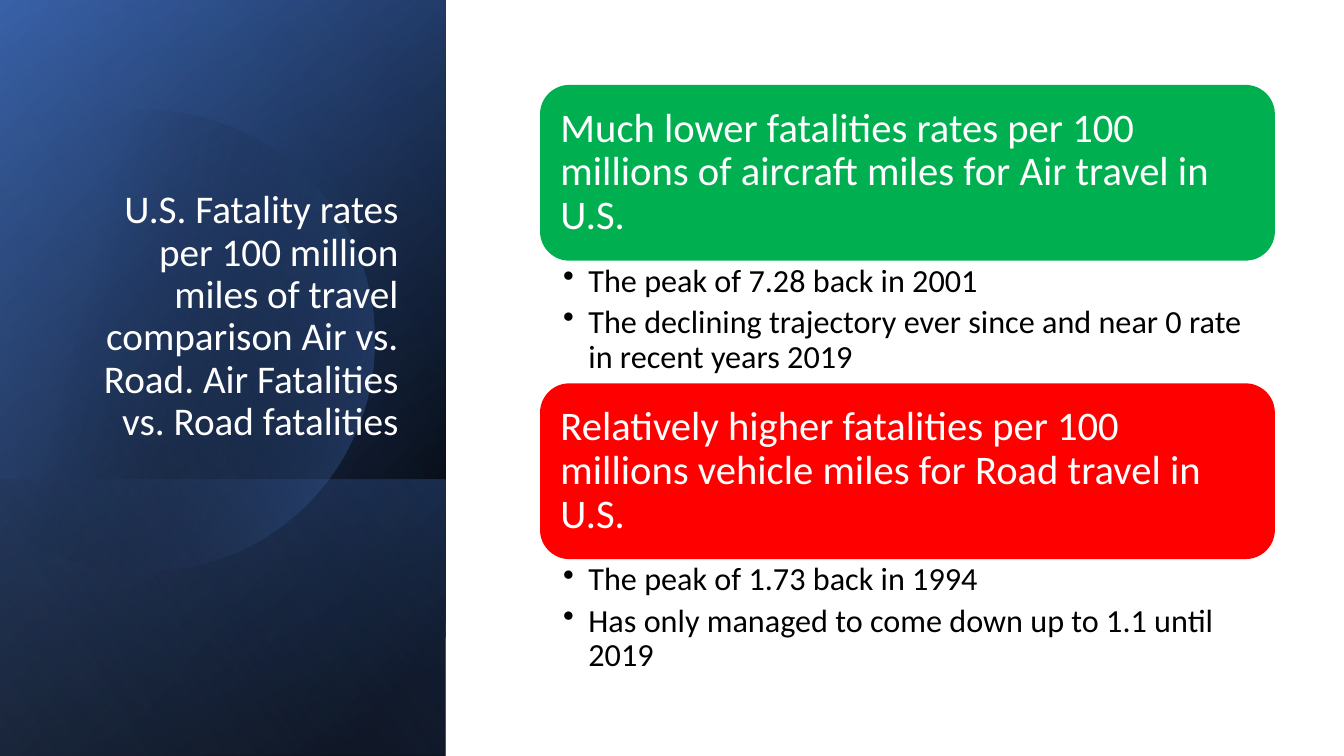
from math import acos, cos, sin

from pptx import Presentation
from pptx.dml.color import RGBColor
from pptx.enum.shapes import MSO_SHAPE
from pptx.enum.text import MSO_ANCHOR, MSO_AUTO_SIZE, PP_ALIGN
from pptx.oxml import parse_xml
from pptx.oxml.ns import nsdecls, qn
from pptx.util import Cm, Pt

RECTANGLE = MSO_SHAPE.RECTANGLE
ROUNDED = MSO_SHAPE.ROUNDED_RECTANGLE
MIDDLE, TOP, BOTTOM = MSO_ANCHOR.MIDDLE, MSO_ANCHOR.TOP, MSO_ANCHOR.BOTTOM
LEFT, RIGHT = PP_ALIGN.LEFT, PP_ALIGN.RIGHT
NO_AUTOFIT = MSO_AUTO_SIZE.NONE

BLACK = RGBColor(0x00, 0x00, 0x00)
WHITE = RGBColor(0xFF, 0xFF, 0xFF)
BLUE = RGBColor(0x44, 0x72, 0xC4)
DARK_BLUE = RGBColor(0x2F, 0x55, 0x97)
LIGHT_BLUE = RGBColor(0x8F, 0xAA, 0xDC)
GREEN = RGBColor(0x00, 0xB0, 0x50)
RED = RGBColor(0xFF, 0x00, 0x00)

FONT = "Calibri"
SLIDE_WIDTH, SLIDE_HEIGHT = 33.87, 19.05
PANEL_WIDTH = 11.23
BAND_HEIGHT = 6.96
CARD_LEFT, CARD_WIDTH = 13.61, 18.52
CARD_HEIGHT, CARD_PITCH = 4.43, 7.52
FIRST_CARD_TOP = 2.14
BULLETS_HEIGHT = 3.07

TITLE = ("U.S. Fatality rates per 100 million miles of travel comparison "
         "Air vs. Road. Air Fatalities vs. Road fatalities")
CARDS = [
    (GREEN,
     "Much lower fatalities rates per 100 millions of aircraft miles for Air travel in U.S.",
     ["The peak of 7.28 back in 2001",
      "The declining trajectory ever since and near 0 rate in recent years 2019"]),
    (RED,
     "Relatively higher fatalities per 100 millions vehicle miles for Road travel in U.S.",
     ["The peak of 1.73 back in 1994",
      "Has only managed to come down up to 1.1 until 2019"]),
]


def make_plain(shape):
    """Remove the outline and shadow of a shape."""
    shape.line.fill.background()
    shape.shadow.inherit = False


def fill_gradient(shape, angle, stops):
    """Fill a shape with stops of position, colour and opacity in percent."""
    make_plain(shape)
    shape.fill.background()
    stop_xml = "".join(
        f'<a:gs pos="{position * 1000}"><a:srgbClr val="{color}">'
        f'<a:alpha val="{opacity * 1000}"/></a:srgbClr></a:gs>'
        for position, color, opacity in stops)
    gradient = parse_xml(
        f'<a:gradFill {nsdecls("a")} rotWithShape="1"><a:gsLst>{stop_xml}</a:gsLst>'
        f'<a:lin ang="{angle * 60000}" scaled="0"/></a:gradFill>')
    properties = shape.element.spPr
    properties.replace(properties.find(qn("a:noFill")), gradient)


def add_panel(page, height, angle, stops):
    """Add a quarter-turned, mirrored gradient panel at the bottom left."""
    left = (PANEL_WIDTH - height) / 2
    top = SLIDE_HEIGHT - (height + PANEL_WIDTH) / 2
    panel = page.shapes.add_shape(
        RECTANGLE, Cm(left), Cm(top), Cm(height), Cm(PANEL_WIDTH))
    panel.rotation = 90
    panel.element.spPr.xfrm.set("flipH", "1")
    fill_gradient(panel, angle, stops)


def add_disc(page):
    """Add the translucent disc that is cut off along its left side."""
    center_x, center_y, radius, cut_x = 3.61, 8.59, 5.82, -0.38
    limit = acos((cut_x - center_x) / radius)
    steps = 120
    angles = [limit * (2 * step / steps - 1) for step in range(steps + 1)]
    points = [(Cm(center_x + radius * cos(angle)), Cm(center_y + radius * sin(angle)))
              for angle in angles]
    builder = page.shapes.build_freeform(*points[0])
    builder.add_line_segments(points[1:], close=True)
    fill_gradient(builder.convert_to_shape(), 14, [(29, BLACK, 0), (100, BLUE, 43)])


def write_text(shape, lines, size, color, anchor, align=LEFT, insets=(0.25, 0.13)):
    """Write formatted paragraphs into a shape and return them."""
    frame = shape.text_frame
    frame.text = "\n".join(lines)
    frame.word_wrap = True
    frame.auto_size = NO_AUTOFIT
    frame.vertical_anchor = anchor
    frame.margin_left = frame.margin_right = Cm(insets[0])
    frame.margin_top = frame.margin_bottom = Cm(insets[1])
    for para in frame.paragraphs:
        para.alignment = align
        para.line_spacing = 0.9
        for span in para.runs:
            span.font.name = FONT
            span.font.size = Pt(size)
            span.font.color.rgb = color
    return frame.paragraphs


def add_bullet(para):
    """Give a paragraph a hanging bullet."""
    para.space_after = Pt(4.6)
    properties = para._p.get_or_add_pPr()
    properties.set("marL", str(Cm(0.64)))
    properties.set("indent", str(-Cm(0.64)))
    properties.append(parse_xml(f'<a:buChar {nsdecls("a")} char="•"/>'))


def add_card(page, top, color, heading, bullets):
    """Add a coloured heading card with its bullets below."""
    card = page.shapes.add_shape(
        ROUNDED, Cm(CARD_LEFT), Cm(top), Cm(CARD_WIDTH), Cm(CARD_HEIGHT))
    make_plain(card)
    card.fill.solid()
    card.fill.fore_color.rgb = color
    write_text(card, [heading], 29, WHITE, MIDDLE, insets=(0.3, 0.3))
    box = page.shapes.add_textbox(
        Cm(CARD_LEFT), Cm(top + CARD_HEIGHT), Cm(CARD_WIDTH), Cm(BULLETS_HEIGHT))
    for para in write_text(box, bullets, 23, BLACK, TOP, insets=(0.58, 0.1)):
        add_bullet(para)


def place_title(page):
    """Place the title in front of the panels."""
    title = page.shapes.title
    title.left, title.top = Cm(1.63), Cm(4.67)
    title.width, title.height = Cm(8.66), Cm(6.65)
    write_text(title, [TITLE], 28, WHITE, BOTTOM, RIGHT)
    title.element.getparent().append(title.element)


def main():
    """Build the slide and save it."""
    deck = Presentation()
    deck.slide_width, deck.slide_height = Cm(SLIDE_WIDTH), Cm(SLIDE_HEIGHT)
    page = deck.slides.add_slide(deck.slide_layouts[5])
    add_panel(page, SLIDE_HEIGHT, 50, [(8, BLACK, 100), (100, DARK_BLUE, 100)])
    add_panel(page, SLIDE_HEIGHT, 30, [(0, BLACK, 0), (99, BLUE, 46)])
    add_panel(page, BAND_HEIGHT, 130, [(2, BLUE, 29), (100, BLACK, 30)])
    add_disc(page)
    add_panel(page, SLIDE_HEIGHT, 120, [(0, BLACK, 0), (99, LIGHT_BLUE, 11)])
    place_title(page)
    for index, card in enumerate(CARDS):
        add_card(page, FIRST_CARD_TOP + index * CARD_PITCH, *card)
    deck.save("out.pptx")


if __name__ == "__main__":
    main()
